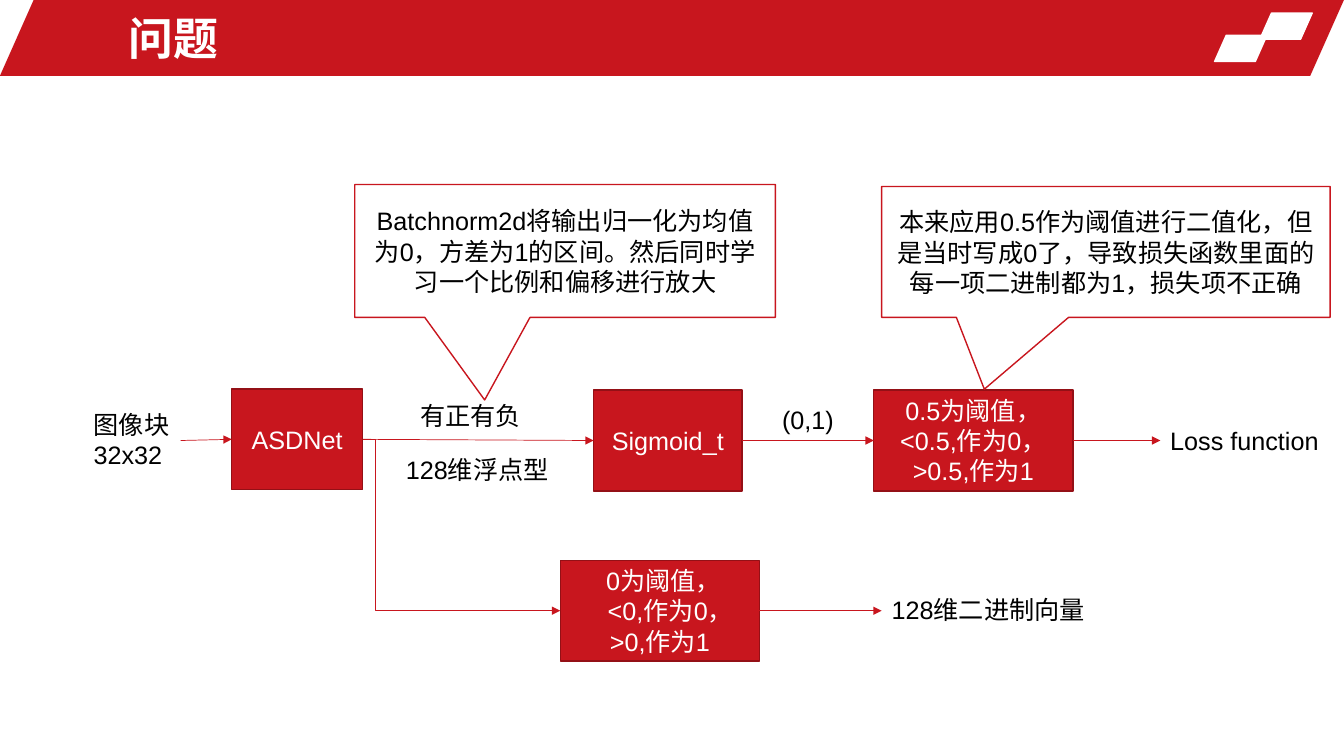
from lxml import etree
from pptx import Presentation
from pptx.dml.color import RGBColor
from pptx.enum.shapes import MSO_CONNECTOR, MSO_SHAPE
from pptx.enum.text import MSO_ANCHOR, MSO_AUTO_SIZE, PP_ALIGN
from pptx.oxml.ns import qn
from pptx.util import Cm, Pt

RECTANGLE = MSO_SHAPE.RECTANGLE
PARALLELOGRAM = MSO_SHAPE.PARALLELOGRAM
CALLOUT = MSO_SHAPE.RECTANGULAR_CALLOUT
STRAIGHT = MSO_CONNECTOR.STRAIGHT
ELBOW = MSO_CONNECTOR.ELBOW
MIDDLE = MSO_ANCHOR.MIDDLE
CENTER = PP_ALIGN.CENTER
LEFT = PP_ALIGN.LEFT
GROW = MSO_AUTO_SIZE.SHAPE_TO_FIT_TEXT

TOP_SIDE, LEFT_SIDE, BOTTOM_SIDE, RIGHT_SIDE = range(4)
COLORS = {"red": "C8161E", "dark_red": "941016", "white": "FFFFFF", "black": "000000"}
BOX_HEIGHT = 2.54
LABEL_HEIGHT = 1.02


def color(name):
    """Return the named colour."""
    return RGBColor.from_string(COLORS[name])


def write(frame, lines, ink, align, size=18, bold=False, indents=()):
    """Write one paragraph per line, with optional left indents in cm."""
    for index, line in enumerate(lines):
        para = frame.paragraphs[0] if index == 0 else frame.add_paragraph()
        para.alignment = align
        if index < len(indents):
            para._p.get_or_add_pPr().set("marL", str(Cm(indents[index])))
        span = para.add_run()
        span.text = line
        span.font.name = "Arial"
        span.font.size = Pt(size)
        span.font.bold = bold
        span.font.color.rgb = color(ink)


def add_block(page, kind, place, fill, outline=None, adjust=()):
    """Add a filled preset shape with an optional outline."""
    block = page.shapes.add_shape(kind, *map(Cm, place))
    block.shadow.inherit = False
    block.fill.solid()
    block.fill.fore_color.rgb = color(fill)
    if outline:
        block.line.color.rgb = color(outline)
        block.line.width = Pt(1)
    else:
        block.line.fill.background()
    for index, value in enumerate(adjust):
        block.adjustments[index] = value
    return block


def add_step(page, left, top, width, lines, indents=()):
    """Add a red process box."""
    step = add_block(page, RECTANGLE, (left, top, width, BOX_HEIGHT), "red", "dark_red")
    step.text_frame.word_wrap = True
    step.text_frame.vertical_anchor = MIDDLE
    write(step.text_frame, lines, "white", CENTER, indents=indents)
    return step


def add_callout(page, place, tip, text):
    """Add a white speech callout pointing at tip."""
    callout = add_block(page, CALLOUT, place, "white", "red", tip)
    callout.text_frame.word_wrap = True
    callout.text_frame.vertical_anchor = MIDDLE
    write(callout.text_frame, [text], "black", CENTER)


def add_label(page, left, top, width, *lines, height=LABEL_HEIGHT):
    """Add a black text label."""
    box = page.shapes.add_textbox(Cm(left), Cm(top), Cm(width), Cm(height))
    box.text_frame.word_wrap = False
    box.text_frame.auto_size = GROW
    write(box.text_frame, lines, "black", LEFT)


def add_arrow(page, start, end, source=None, target=None, kind=STRAIGHT, bend=None):
    """Add a thin red arrow, joined to the boxes it leaves and enters."""
    arrow = page.shapes.add_connector(kind, *map(Cm, start + end))
    if source is not None:
        arrow.begin_connect(source, RIGHT_SIDE)
    if target is not None:
        arrow.end_connect(target, LEFT_SIDE)
    arrow.line.color.rgb = color("red")
    arrow.line.width = Pt(0.5)
    properties = arrow._element.spPr
    etree.SubElement(properties.find(qn("a:ln")), qn("a:tailEnd"), type="triangle")
    etree.SubElement(properties, qn("a:effectLst"))
    if bend is not None:
        guides = properties.find(qn("a:prstGeom")).find(qn("a:avLst"))
        etree.SubElement(guides, qn("a:gd"), name="adj1", fmla=f"val {round(bend * 100000)}")


def add_header(page, title):
    """Add the slanted title band with its two ornaments."""
    slant = (0.444,)
    add_block(page, PARALLELOGRAM, (0, 0, 33.87, 1.91), "red", adjust=slant)
    for left, top in ((31.75, 0.33), (30.61, 0.89)):
        add_block(page, PARALLELOGRAM, (left, top, 1.32, 0.66), "white", "white", slant)
    box = page.shapes.add_textbox(Cm(3), Cm(0.13), Cm(19.66), Cm(1.65))
    box.text_frame.word_wrap = True
    box.text_frame.vertical_anchor = MIDDLE
    write(box.text_frame, [title], "white", LEFT, size=32, bold=True)
    box.text_frame.paragraphs[0].space_before = Pt(10)


def main():
    """Build the slide and save it."""
    deck = Presentation()
    deck.slide_width, deck.slide_height = Cm(33.87), Cm(19.05)
    page = deck.slides.add_slide(deck.slide_layouts[6])
    add_header(page, "问题")

    network = add_step(page, 5.84, 9.8, 3.3, ["ASDNet"])
    sigmoid = add_step(page, 14.96, 9.83, 3.74, ["Sigmoid_t"])
    half = add_step(page, 22.02, 9.83, 5.02, ["0.5为阈值，<0.5,作为0，", ">0.5,作为1"])
    zero = add_step(page, 14.12, 14.12, 5.02, ["0为阈值，", "<0,作为0，", ">0,作为1"],
                    indents=(0.18, 0.53))

    add_arrow(page, (4.55, 11.1), (5.84, 11.07), target=network)
    add_arrow(page, (9.14, 11.07), (14.96, 11.1), network, sigmoid)
    add_arrow(page, (18.7, 11.1), (22.02, 11.1), sigmoid, half)
    add_arrow(page, (27.04, 11.1), (29.24, 11.1), half)
    add_arrow(page, (9.14, 11.07), (14.12, 15.39), network, zero, ELBOW, 0.063)
    add_arrow(page, (19.14, 15.39), (22.22, 15.39), zero)

    add_label(page, 2.11, 10.19, 2.44, "图像块", "32x32", height=1.8)
    add_label(page, 10.34, 9.96, 3.12, "有正有负")
    add_label(page, 9.98, 11.33, 4.14, "128维浮点型")
    add_label(page, 19.46, 10.06, 1.83, "(0,1)")
    add_label(page, 29.24, 10.59, 4.29, "Loss function")
    add_label(page, 22.22, 14.86, 5.44, "128维二进制向量")

    add_callout(page, (8.94, 4.65, 10.6, 3.35), (-0.191, 1.121),
                "Batchnorm2d将输出归一化为均值为0，方差为1的区间。然后同时学习一个比例和偏移进行放大")
    add_callout(page, (22.22, 4.7, 11.3, 3.3), (-0.271, 1.048),
                "本来应用0.5作为阈值进行二值化，但是当时写成0了，导致损失函数里面的每一项二进制都为1，损失项不正确")
    deck.save("out.pptx")


if __name__ == "__main__":
    main()
